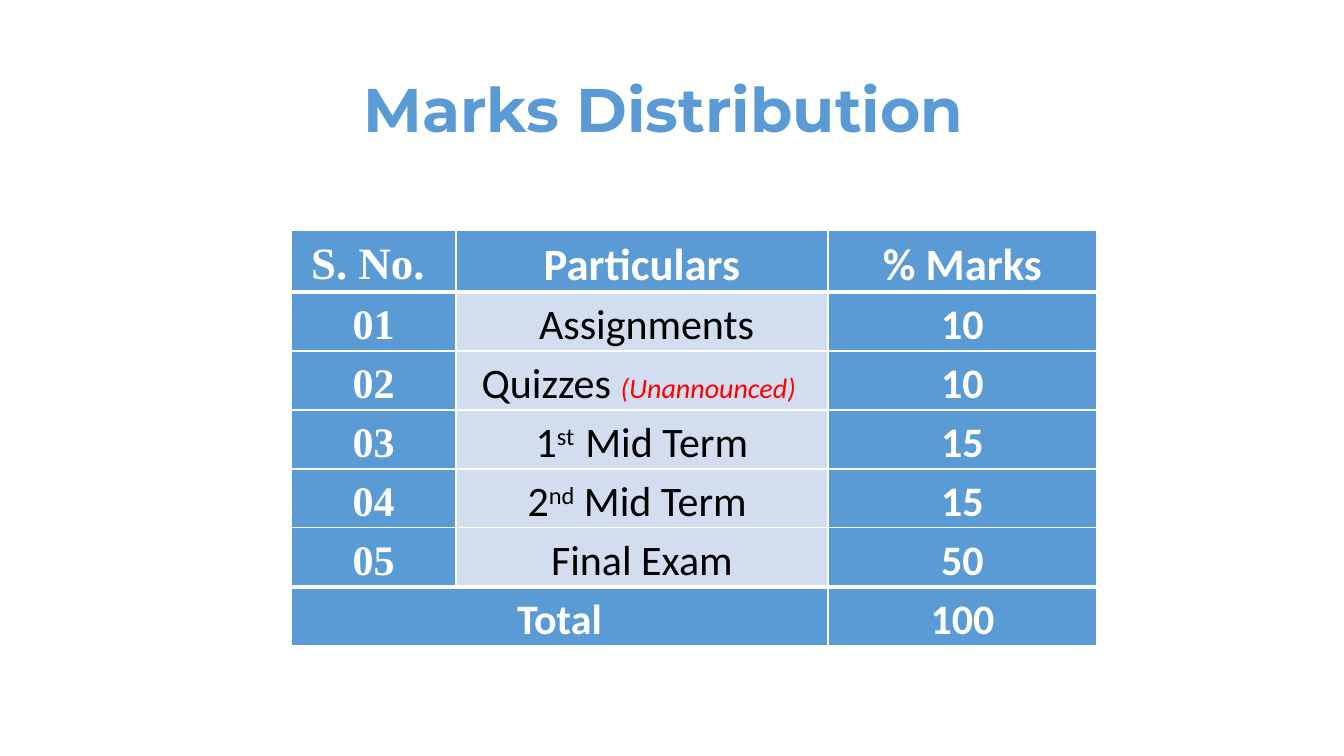
import lxml.etree
import pptx
import pptx.dml.color
import pptx.enum.text
import pptx.oxml.ns
import pptx.util

COLORS = {"blue": "5B9BD5", "pale": "D2DEEF", "white": "FFFFFF", "black": "000000", "red": "FF0000"}
TITLE = "Marks Distribution "
HEADINGS = ["S. No. ", "Particulars", "% Marks"]
# Each particular is a list of (text, style) pieces.
ASSESSMENTS = [
    ("01", [(" Assignments", "plain")], "10"),
    ("02", [("Quizzes ", "plain"), ("(Unannounced) ", "note")], "10"),
    ("03", [("1", "plain"), ("st  ", "raised"), ("Mid Term", "plain")], "15"),
    ("04", [("2", "plain"), ("nd", "raised"), (" Mid Term ", "plain")], "15"),
    ("05", [("Final Exam", "plain")], "50"),
]
TOTAL = ("Total", "", "100")

TITLE_BOX = (93, 40, 1159, 146)
TABLE_LEFT, TABLE_TOP = 291, 230
COLUMN_WIDTHS = [165, 372, 269]
HEADING_HEIGHT, ROW_HEIGHT = 62, 59
EMU_PER_PX = 914400 / 100.8


def px(length):
    """Turn pixels into EMU."""
    return pptx.util.Emu(round(length * EMU_PER_PX))


def rgb(color):
    """Look up a named colour."""
    return pptx.dml.color.RGBColor.from_string(COLORS[color])


def write(paragraph, pieces, face, size, color, bold, spacing):
    """Fill a centred paragraph with styled pieces."""
    paragraph.alignment = pptx.enum.text.PP_ALIGN.CENTER
    paragraph.line_spacing = spacing
    for text, style in pieces:
        run = paragraph.add_run()
        run.text = text
        mixed = len(pieces) > 1
        font = run.font if mixed else paragraph.font
        font.name, font.bold = face, bold
        font.size = pptx.util.Pt(20 if style == "note" else size)
        font.color.rgb = rgb("red" if style == "note" else color)
        if style == "note":
            font.italic = True
        if style == "raised":
            run._r.get_or_add_rPr().set("baseline", "30000")


def add_borders(cell, top, bottom):
    """Draw white cell borders; widths are in points."""
    properties = cell._tc.get_or_add_tcPr()
    for side, width in (("L", 1), ("R", 1), ("T", top), ("B", bottom)):
        line = lxml.etree.SubElement(properties, pptx.oxml.ns.qn(f"a:ln{side}"), w=str(pptx.util.Pt(width)))
        fill = lxml.etree.SubElement(line, pptx.oxml.ns.qn("a:solidFill"))
        lxml.etree.SubElement(fill, pptx.oxml.ns.qn("a:srgbClr"), val=COLORS["white"])


def add_title(slide):
    """Add the slide title."""
    frame = slide.shapes.add_textbox(*map(px, TITLE_BOX)).text_frame
    frame.word_wrap = True
    frame.vertical_anchor = pptx.enum.text.MSO_ANCHOR.MIDDLE
    write(frame.paragraphs[0], [(TITLE, "plain")], "Montserrat", 44, "blue", True, 0.9)


def add_marks_table(slide):
    """Add the marks table with its heading and total rows."""
    rows = [HEADINGS, *ASSESSMENTS, TOTAL]
    last = len(rows) - 1
    heights = [HEADING_HEIGHT] + [ROW_HEIGHT] * last
    table = slide.shapes.add_table(
        len(rows), len(COLUMN_WIDTHS), px(TABLE_LEFT), px(TABLE_TOP),
        px(sum(COLUMN_WIDTHS)), px(sum(heights))).table
    for column, width in zip(table.columns, COLUMN_WIDTHS):
        column.width = px(width)
    for row, height in zip(table.rows, heights):
        row.height = px(height)
    table.cell(last, 0).merge(table.cell(last, 1))

    for r, row in enumerate(rows):
        for c, content in enumerate(row):
            cell = table.cell(r, c)
            particular = c == 1 and 0 < r < last
            add_borders(cell, 3 if r in (1, last) else 1, 3 if r in (0, last - 1) else 1)
            cell.fill.solid()
            cell.fill.fore_color.rgb = rgb("pale" if particular else "blue")
            cell.vertical_anchor = pptx.enum.text.MSO_ANCHOR.MIDDLE
            cell.margin_left = cell.margin_right = px(3)
            cell.margin_top = cell.margin_bottom = 0
            if cell.is_spanned:
                continue
            pieces = content if particular else [(content, "plain")]
            face = "Times New Roman" if c == 0 and r < last else "Calibri"
            write(cell.text_frame.paragraphs[0], pieces, face, 32 if r == 0 else 30,
                  "black" if particular else "white", not particular, 1.15)


presentation = pptx.Presentation()
presentation.slide_width, presentation.slide_height = px(1344), px(756)
marks_slide = presentation.slides.add_slide(presentation.slide_layouts[6])
add_title(marks_slide)
add_marks_table(marks_slide)
presentation.save("out.pptx")
